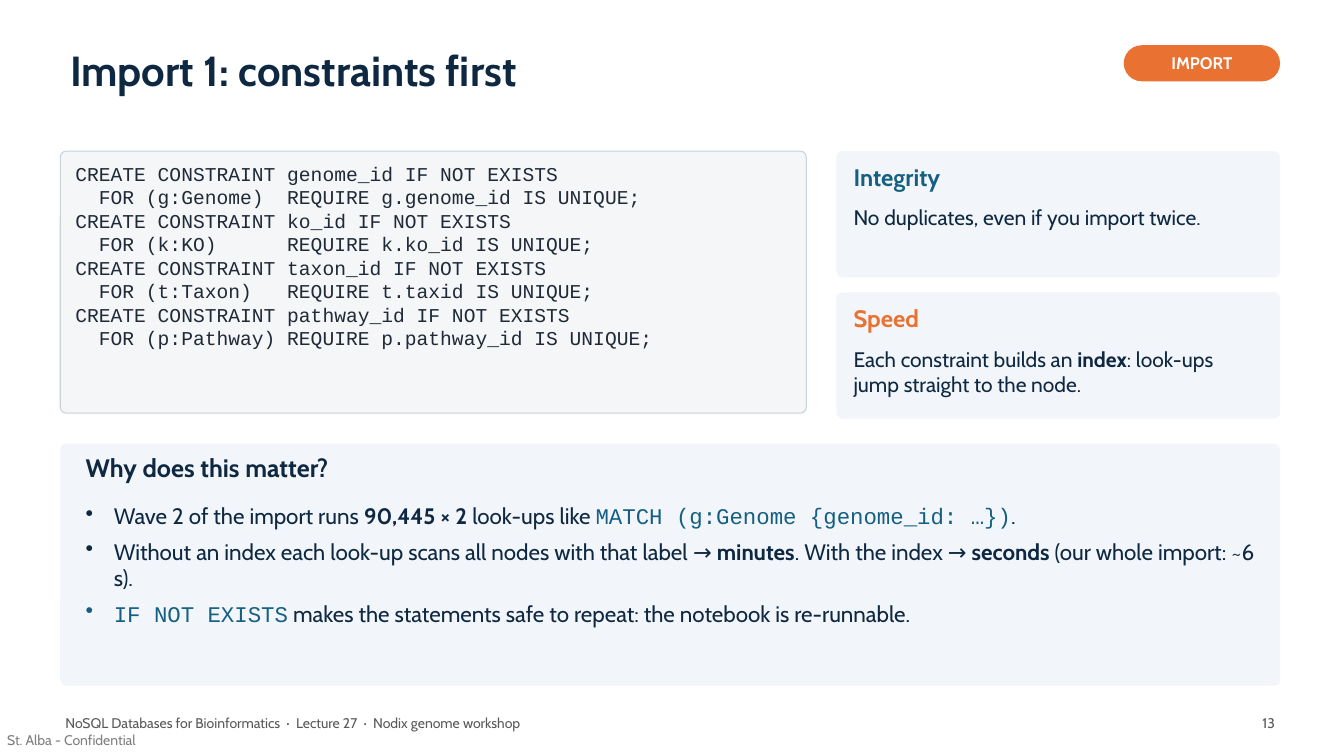
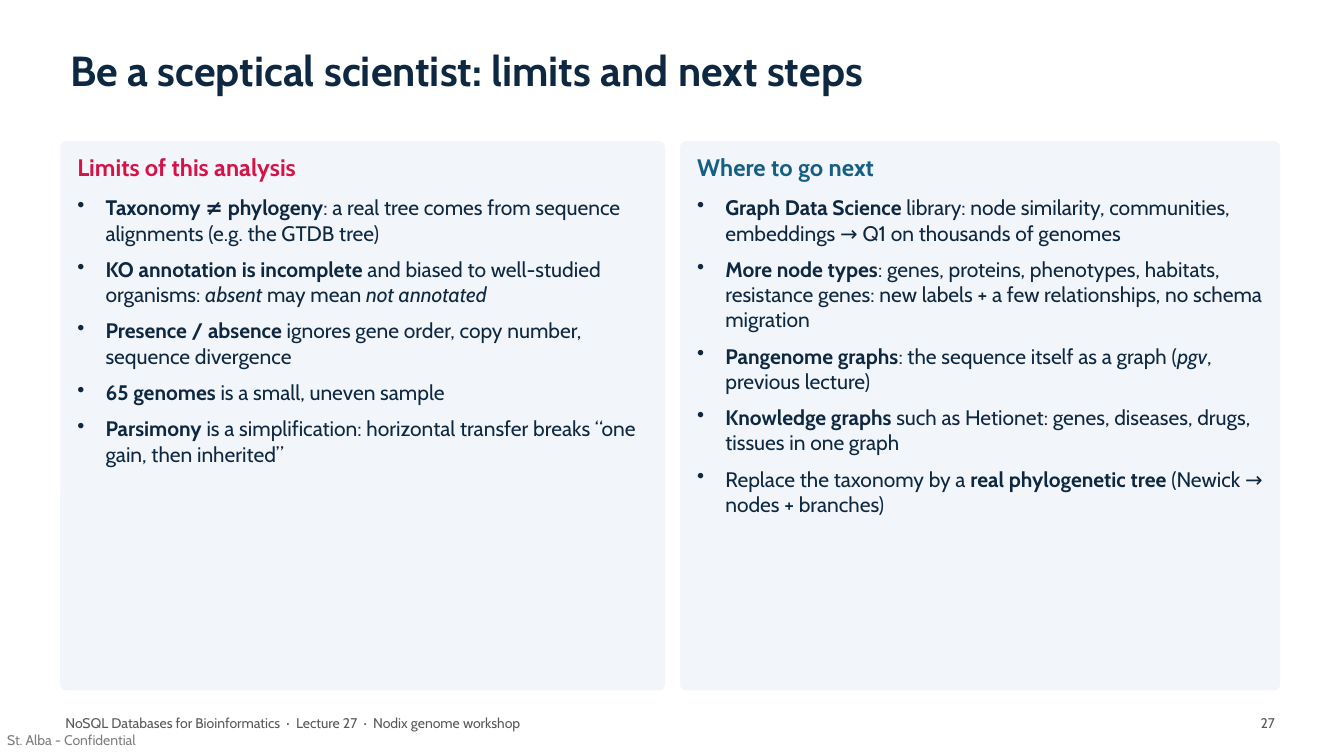
from lxml import etree
from pptx import Presentation
from pptx import util as u
from pptx.dml.color import RGBColor
from pptx.enum import shapes, text
from pptx.oxml.ns import qn

# All lengths are centimetres.
SLIDE_WIDTH, SLIDE_HEIGHT = 33.87, 19.05
MARGIN, CONTENT_WIDTH = 1.52, 30.74
RIGHT = MARGIN + CONTENT_WIDTH
CORNER_RADIUS = 0.15
BULLET_INDENT = 0.71
TEXT_INSETS = (0.13, 0.08)

SANS, MONO = "Cabin", "Courier New"
COLOURS = {
    "navy": "0E2841",
    "teal": "156082",
    "orange": "E97132",
    "red": "D41348",
    "white": "FFFFFF",
    "card": "F2F5F9",
    "code_fill": "F4F6F8",
    "code_line": "C9D1DB",
    "code_text": "1F2937",
    "footer": "595959",
    "marking": "7F7F7F",
}

FOOTER = "NoSQL Databases for Bioinformatics  ·  Lecture 27  ·  Nodix genome workshop"
MARKING = "St. Alba - Confidential"

CONSTRAINTS = """CREATE CONSTRAINT genome_id IF NOT EXISTS
  FOR (g:Genome)  REQUIRE g.genome_id IS UNIQUE;
CREATE CONSTRAINT ko_id IF NOT EXISTS
  FOR (k:KO)      REQUIRE k.ko_id IS UNIQUE;
CREATE CONSTRAINT taxon_id IF NOT EXISTS
  FOR (t:Taxon)   REQUIRE t.taxid IS UNIQUE;
CREATE CONSTRAINT pathway_id IF NOT EXISTS
  FOR (p:Pathway) REQUIRE p.pathway_id IS UNIQUE;"""

# A paragraph is a list of runs: plain strings or (text, style) pairs.
INTEGRITY = [["No duplicates, even if you import twice."]]
SPEED = [["Each constraint builds an ", ("index", "bold"),
          ": look-ups jump straight to the node."]]
REASONS = [
    ["Wave 2 of the import runs ", ("90,445 × 2", "bold"), " look-ups like ",
     ("MATCH (g:Genome {genome_id: …})", "code"), "."],
    ["Without an index each look-up scans all nodes with that label → ",
     ("minutes", "bold"), ". With the index → ", ("seconds", "bold"),
     " (our whole import: ~6 s)."],
    [("IF NOT EXISTS", "code"),
     " makes the statements safe to repeat: the notebook is re-runnable."],
]
LIMITS = [
    [("Taxonomy ≠ phylogeny", "bold"),
     ": a real tree comes from sequence alignments (e.g. the GTDB tree)"],
    [("KO annotation is incomplete", "bold"),
     " and biased to well-studied organisms: ", ("absent", "italic"),
     " may mean ", ("not annotated", "italic")],
    [("Presence / absence", "bold"),
     " ignores gene order, copy number, sequence divergence"],
    [("65 genomes", "bold"), " is a small, uneven sample"],
    [("Parsimony", "bold"),
     " is a simplification: horizontal transfer breaks “one gain, then inherited”"],
]
NEXT_STEPS = [
    [("Graph Data Science", "bold"),
     " library: node similarity, communities, embeddings → Q1 on thousands of genomes"],
    [("More node types", "bold"),
     ": genes, proteins, phenotypes, habitats, resistance genes: "
     "new labels + a few relationships, no schema migration"],
    [("Pangenome graphs", "bold"), ": the sequence itself as a graph (",
     ("pgv", "italic"), ", previous lecture)"],
    [("Knowledge graphs", "bold"),
     " such as Hetionet: genes, diseases, drugs, tissues in one graph"],
    ["Replace the taxonomy by a ", ("real phylogenetic tree", "bold"),
     " (Newick → nodes + branches)"],
]


def colour(name):
    return RGBColor.from_string(COLOURS[name])


def format_run(run, size, colour_name, bold=False, italic=False, font=SANS):
    run.font.name = font
    run.font.size = u.Pt(size)
    run.font.color.rgb = colour(colour_name)
    run.font.bold = bold
    run.font.italic = italic


def set_insets(text_frame, horizontal, vertical):
    text_frame.margin_left = text_frame.margin_right = u.Cm(horizontal)
    text_frame.margin_top = text_frame.margin_bottom = u.Cm(vertical)


def add_text_frame(slide, left, top, width, height, insets=TEXT_INSETS):
    box = slide.shapes.add_textbox(u.Cm(left), u.Cm(top), u.Cm(width), u.Cm(height))
    box.text_frame.word_wrap = True
    set_insets(box.text_frame, *insets)
    return box.text_frame


def add_label(slide, content, left, top, width, height, size, colour_name,
              bold=False, font=SANS, insets=TEXT_INSETS):
    """Add text in one style, one paragraph per line."""
    text_frame = add_text_frame(slide, left, top, width, height, insets)
    text_frame.text = content
    for paragraph in text_frame.paragraphs:
        for run in paragraph.runs:
            format_run(run, size, colour_name, bold, font=font)
    return text_frame


def add_bullet(paragraph):
    properties = paragraph._p.get_or_add_pPr()
    properties.set("marL", str(u.Cm(BULLET_INDENT)))
    properties.set("indent", str(-u.Cm(BULLET_INDENT)))
    etree.SubElement(properties, qn("a:buChar")).set("char", "•")


def fill_paragraphs(text_frame, paragraphs, size, space_after, bulleted):
    for index, runs in enumerate(paragraphs):
        paragraph = text_frame.add_paragraph() if index else text_frame.paragraphs[0]
        if bulleted:
            add_bullet(paragraph)
        paragraph.space_after = u.Pt(space_after)
        for item in runs:
            content, style = (item, "plain") if isinstance(item, str) else item
            run = paragraph.add_run()
            run.text = content
            is_code = style == "code"
            format_run(run, size, "teal" if is_code else "navy",
                       style == "bold", style == "italic", MONO if is_code else SANS)


def add_panel(slide, left, top, width, height, fill, line=None, radius=CORNER_RADIUS):
    panel = slide.shapes.add_shape(shapes.MSO_SHAPE.ROUNDED_RECTANGLE,
                                   u.Cm(left), u.Cm(top), u.Cm(width), u.Cm(height))
    panel.adjustments[0] = radius / min(width, height)
    panel.shadow.inherit = False
    panel.fill.solid()
    panel.fill.fore_color.rgb = colour(fill)
    if line:
        panel.line.color.rgb = colour(line)
        panel.line.width = u.Pt(0.75)
    else:
        panel.line.fill.background()
    return panel


def add_card(slide, left, top, width, height, heading, heading_colour, body,
             heading_size=17, body_size=15, space_after=8, bulleted=True,
             padding=(0.3, 0.2), heading_gap=1.07):
    add_panel(slide, left, top, width, height, "card")
    pad_x, pad_y = padding
    inner_left, inner_width = left + pad_x, width - 2 * pad_x
    add_label(slide, heading, inner_left, top + pad_y, inner_width, 1.14,
              heading_size, heading_colour, bold=True)
    body_offset = pad_y + heading_gap
    text_frame = add_text_frame(slide, inner_left, top + body_offset,
                                inner_width, height - body_offset - 0.2)
    fill_paragraphs(text_frame, body, body_size, space_after, bulleted)


def add_code_panel(slide, left, top, width, height, code):
    add_panel(slide, left, top, width, height, "code_fill", "code_line")
    add_label(slide, code, left + 0.25, top + 0.18, width - 0.5, height - 0.36,
              14, "code_text", font=MONO)


def add_tag(slide, content):
    width, height = 3.94, 0.91
    tag = add_panel(slide, RIGHT - width, 1.14, width, height, "orange",
                    radius=height / 2)
    text_frame = tag.text_frame
    set_insets(text_frame, 0.15, 0.08)
    text_frame.vertical_anchor = text.MSO_ANCHOR.MIDDLE
    text_frame.text = content
    paragraph = text_frame.paragraphs[0]
    paragraph.alignment = text.PP_ALIGN.CENTER
    format_run(paragraph.runs[0], 12, "white", bold=True)


def add_base_slide(presentation, title, number):
    """Add a slide with the shared title, footer, page number and marking."""
    slide = presentation.slides.add_slide(presentation.slide_layouts[6])
    slide.background.fill.solid()
    slide.background.fill.fore_color.rgb = colour("white")
    add_label(slide, MARKING, 0.18, 18.44, 4.5, 0.43, 10, "marking", insets=(0, 0))
    heading = add_label(slide, title, MARGIN, 0.76, 26.42, 2.16, 30, "navy",
                        bold=True, insets=(0.25, 0.13))
    heading.vertical_anchor = text.MSO_ANCHOR.MIDDLE
    heading.paragraphs[0].line_spacing = 0.9
    footer_top, footer_height, number_width = 17.93, 0.76, 2.54
    add_label(slide, FOOTER, MARGIN, footer_top, 24.13, footer_height, 10, "footer")
    page = add_label(slide, str(number), RIGHT - number_width, footer_top,
                     number_width, footer_height, 10, "footer")
    page.paragraphs[0].alignment = text.PP_ALIGN.RIGHT
    return slide


def build_constraints_slide(presentation):
    slide = add_base_slide(presentation, "Import 1: constraints first", 13)
    add_tag(slide, "IMPORT")
    top, code_width, gap = 3.81, 18.8, 0.76
    add_code_panel(slide, MARGIN, top, code_width, 6.6, CONSTRAINTS)
    side_left = MARGIN + code_width + gap
    benefits = [("Integrity", "teal", INTEGRITY), ("Speed", "orange", SPEED)]
    for index, benefit in enumerate(benefits):
        add_card(slide, side_left, top + index * 3.56, RIGHT - side_left, 3.18,
                 *benefit, space_after=4, bulleted=False)
    add_card(slide, MARGIN, 11.18, CONTENT_WIDTH, 6.1,
             "Why does this matter?", "navy", REASONS, heading_size=18, body_size=16,
             space_after=6, padding=(0.51, 0.13), heading_gap=1.27)


def build_limits_slide(presentation):
    slide = add_base_slide(presentation,
                           "Be a sceptical scientist: limits and next steps", 27)
    top, height, limits_width, gap = 3.56, 13.84, 15.24, 0.38
    next_left = MARGIN + limits_width + gap
    add_card(slide, MARGIN, top, limits_width, height,
             "Limits of this analysis", "red", LIMITS)
    add_card(slide, next_left, top, RIGHT - next_left, height,
             "Where to go next", "teal", NEXT_STEPS)


def main():
    presentation = Presentation()
    presentation.slide_width = u.Cm(SLIDE_WIDTH)
    presentation.slide_height = u.Cm(SLIDE_HEIGHT)
    build_constraints_slide(presentation)
    build_limits_slide(presentation)
    presentation.save("out.pptx")


if __name__ == "__main__":
    main()
